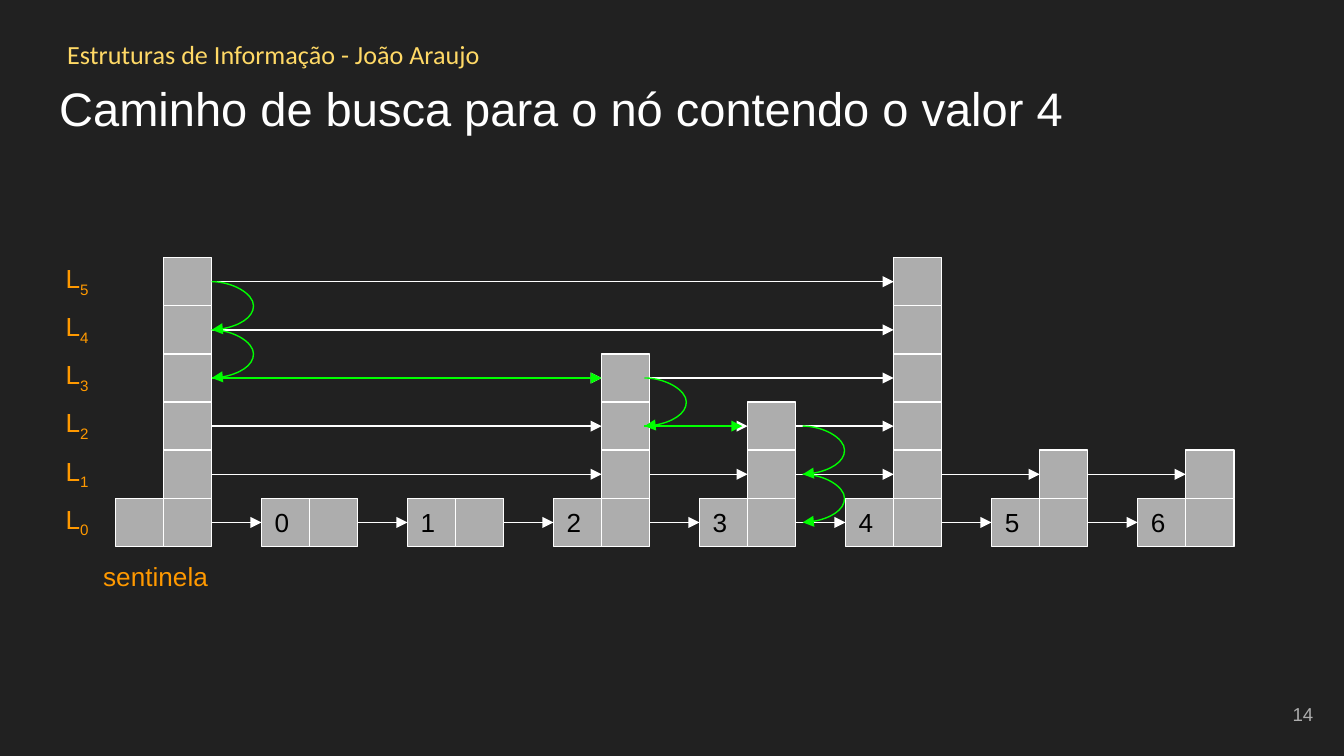
import lxml.etree
import pptx
import pptx.dml.color
import pptx.enum.shapes
import pptx.enum.text
import pptx.oxml.ns
import pptx.util

Cm = pptx.util.Cm
Pt = pptx.util.Pt
qn = pptx.oxml.ns.qn
ALIGN = pptx.enum.text.PP_ALIGN
ANCHOR = pptx.enum.text.MSO_ANCHOR
CONNECTOR = pptx.enum.shapes.MSO_CONNECTOR

WHITE, GRAY, GREEN, ORANGE = "FFFFFF", "ADADAD", "00FF00", "FF9900"
LEVELS = 6
INSET = 0.25
DROP_WIDTH = pptx.util.Emu(600)
DROP_BULGE = Cm(0.66)

# Value and number of levels of each node; the first one is the sentinel.
NODES = [("", 6), ("0", 1), ("1", 1), ("2", 4),
         ("3", 3), ("4", 6), ("5", 2), ("6", 2)]
# Search path: node, level it goes down from, shift from the tower's right edge.
DROPS = [(0, 5, 0), (0, 4, 0), (3, 3, -0.1), (4, 2, 0.13), (4, 1, 0.13)]
# Search path: from node, to node, level, shift.
HOPS = [(0, 3, 3, 0), (3, 4, 2, -0.1)]


def rgb(color):
    return pptx.dml.color.RGBColor.from_string(color)


def apply(target, values):
    for name, value in values.items():
        setattr(target, name, value)


def write(frame, runs, color, size, font="Arial", align=ALIGN.LEFT,
          anchor=ANCHOR.TOP, wrap=True):
    """Fill a text frame with (text, is_subscript) runs."""
    inset = Cm(INSET)
    apply(frame, {"word_wrap": wrap, "vertical_anchor": anchor,
                  "margin_left": inset, "margin_right": inset,
                  "margin_top": inset, "margin_bottom": inset})
    paragraph = frame.paragraphs[0]
    paragraph.alignment = align
    for text, subscript in runs:
        run = paragraph.add_run()
        run.text = text
        apply(run.font, {"name": font, "size": Pt(size)})
        run.font.color.rgb = rgb(color)
        if subscript:
            run.font._element.set("baseline", "-25000")


def add_text(slide, box, runs, color, size, **options):
    label = slide.shapes.add_textbox(*map(Cm, box))
    write(label.text_frame, runs, color, size, **options)


def add_cell(slide, left, top, side, value=""):
    cell = slide.shapes.add_shape(pptx.enum.shapes.MSO_SHAPE.RECTANGLE,
                                  *map(Cm, (left, top, side, side)))
    cell.shadow.inherit = False
    cell.fill.solid()
    cell.fill.fore_color.rgb = rgb(GRAY)
    cell.line.color.rgb = rgb(WHITE)
    cell.line.width = Pt(0.75)
    if value:
        write(cell.text_frame, [(value, False)], "000000", 14,
              anchor=ANCHOR.MIDDLE)


def add_arrow(slide, kind, start, end, color):
    arrow = slide.shapes.add_connector(kind, *start, *end)
    arrow.line.color.rgb = rgb(color)
    arrow.line.width = Pt(0.75)
    lxml.etree.SubElement(arrow.line._get_or_add_ln(), qn("a:tailEnd"),
                          type="triangle")
    lxml.etree.SubElement(arrow._element.spPr, qn("a:effectLst"))
    return arrow


def add_hop(slide, left, right, y, color):
    add_arrow(slide, CONNECTOR.STRAIGHT, (Cm(left), Cm(y)),
              (Cm(right), Cm(y)), color)


def add_drop(slide, x, top, bottom):
    """Curve to the right from one level down to the next."""
    drop = add_arrow(slide, CONNECTOR.CURVE, (Cm(x), Cm(top)),
                     (Cm(x) + DROP_WIDTH, Cm(bottom)), GREEN)
    guides = drop._element.spPr.find(qn("a:prstGeom")).get_or_add_avLst()
    bulge = DROP_BULGE * 100000 // DROP_WIDTH
    lxml.etree.SubElement(guides, qn("a:gd"), name="adj1", fmla=f"val {bulge}")


def add_heading(slide, box):
    left, top, width, height = box
    add_text(slide, (left + 0.15, top, width - 2.92, 1.12),
             [("Estruturas de Informação - João Araujo", False)],
             "FFD966", 14, font="Calibri")
    add_text(slide, (left, top + height - 1.6, width, 1.6),
             [("Caminho de busca para o nó contendo o valor 4", False)],
             WHITE, 25.2)


def add_level_labels(slide, box):
    left, top, width, height = box
    step = height / LEVELS
    for level in range(LEVELS):
        add_text(slide, (left, top + (LEVELS - 1 - level) * step, width, 1.12),
                 [("L", False), (str(level), True)], ORANGE, 14)


def add_skip_list(slide, box):
    left, top, width, height = box
    side = height / LEVELS
    pitch = (width - 2 * side) / (len(NODES) - 1)

    def tower_left(node):
        return left + node * pitch + side

    def tower_right(node):
        return tower_left(node) + side

    def level_top(level):
        return top + (LEVELS - 1 - level) * side

    def level_middle(level):
        return level_top(level) + side / 2

    for node, (value, levels) in enumerate(NODES):
        add_cell(slide, left + node * pitch, level_top(0), side, value)
        for level in range(levels):
            add_cell(slide, tower_left(node), level_top(level), side)

    for level in range(LEVELS):
        linked = [n for n, (_, levels) in enumerate(NODES) if levels > level]
        for source, target in zip(linked, linked[1:]):
            end = tower_left(target) - (0 if level else side)
            add_hop(slide, tower_right(source), end, level_middle(level), WHITE)

    for node, level, shift in DROPS:
        add_drop(slide, tower_right(node) + shift, level_middle(level),
                 level_middle(level - 1))
    for source, target, level, shift in HOPS:
        add_hop(slide, tower_right(source) + shift, tower_left(target) + shift,
                level_middle(level), GREEN)


def main():
    deck = pptx.Presentation()
    apply(deck, {"slide_width": Cm(25.4), "slide_height": Cm(14.29)})
    slide = deck.slides.add_slide(deck.slide_layouts[6])
    slide.background.fill.solid()
    slide.background.fill.fore_color.rgb = rgb("212121")

    add_heading(slide, (0.87, 0.48, 23.67, 2.37))
    add_skip_list(slide, (2.18, 4.87, 21.14, 5.46))
    add_level_labels(slide, (0.99, 4.71, 1.17, 5.46))
    add_text(slide, (1.7, 10.34, 2.9, 1.12), [("sentinela", False)], ORANGE, 14)
    add_text(slide, (23.55, 12.95, 1.52, 1.09), [("14", False)], GRAY, 10,
             align=ALIGN.RIGHT, anchor=ANCHOR.MIDDLE)
    deck.save("out.pptx")


if __name__ == "__main__":
    main()
